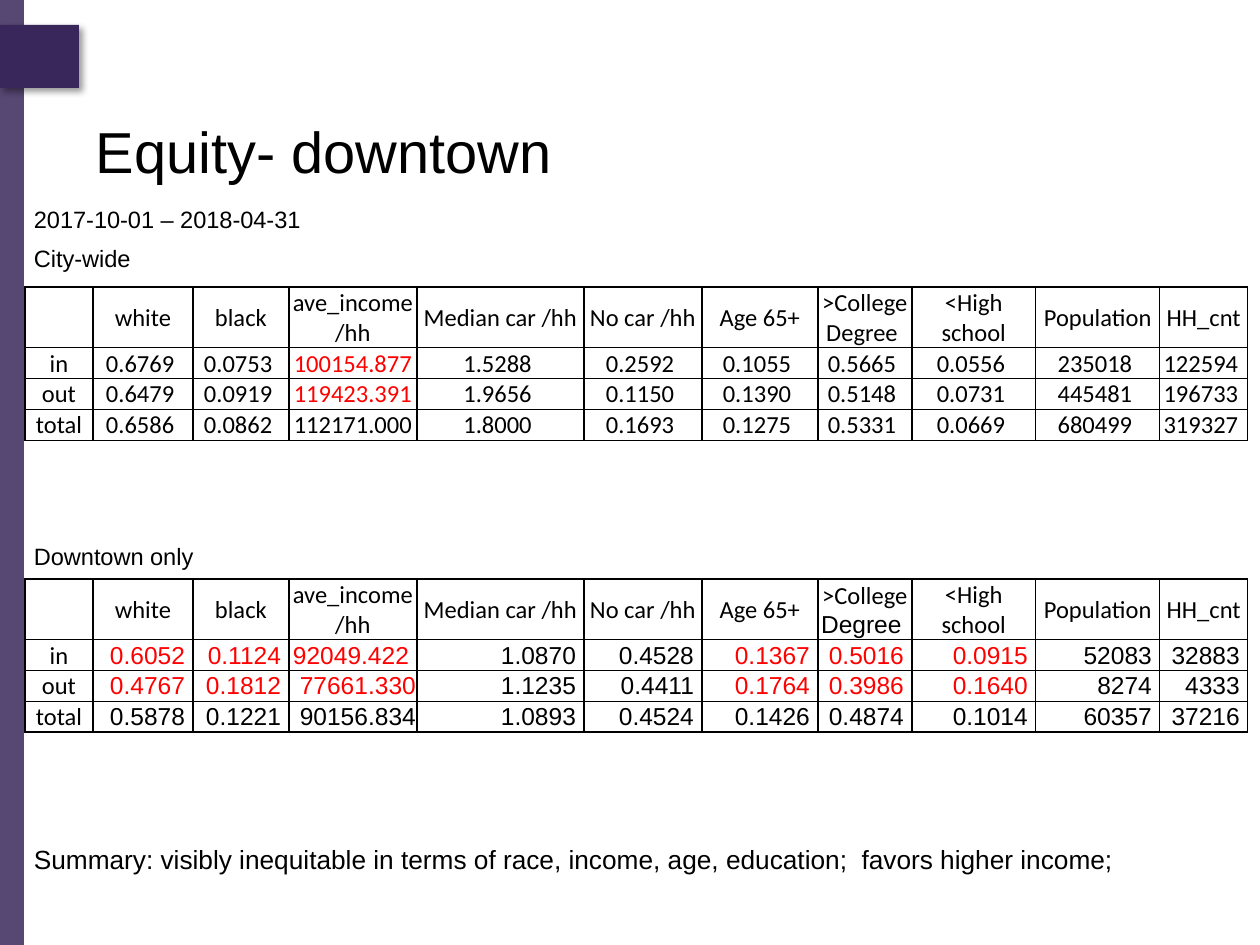
from dataclasses import dataclass

import pptx
import pptx.dml.color
import pptx.enum.shapes
import pptx.enum.text
import pptx.oxml
import pptx.oxml.ns
import pptx.util

PX = 914400 / 126
BLACK = pptx.dml.color.RGBColor(0, 0, 0)
RED = pptx.dml.color.RGBColor(0xFF, 0, 0)
PURPLE = pptx.dml.color.RGBColor(0x39, 0x27, 0x5B)
ALIGN = pptx.enum.text.PP_ALIGN
ANCHOR = pptx.enum.text.MSO_ANCHOR
NS = pptx.oxml.ns.nsdecls("a")

HEADERS = ("", "white", "black", "ave_income /hh", "Median car /hh", "No car /hh",
           "Age 65+", ">College\nDegree ", "<High school", "Population", "HH_cnt")
COLUMN_WIDTHS = (68, 100, 96, 128, 167, 118, 116, 94, 124, 124, 88)
ROW_HEIGHTS = (60, 30, 30, 30)
INCOME_COLUMN = 3
DEGREE_COLUMN = 7


@dataclass(frozen=True)
class Label:
    text: str
    left: int
    top: int
    width: int
    height: int
    size: float = 13.5


@dataclass(frozen=True)
class AreaTable:
    top: int
    rows: tuple[tuple[str, ...], ...]
    red_columns: frozenset[int]
    value_font: str
    value_align: ALIGN
    value_anchor: ANCHOR


LABELS = (
    Label("2017-10-01 – 2018-04-31", 25, 200, 381, 38),
    Label("City-wide", 25, 239, 312, 38),
    Label("Downtown only", 25, 537, 252, 42),
    Label("Summary: visibly inequitable in terms of race, income, age, education;  "
          "favors higher income;", 25, 838, 1148, 42, 15),
)

TABLES = (
    AreaTable(287, (
        ("in", "0.6769", "0.0753", "100154.877", "1.5288", "0.2592", "0.1055",
         "0.5665", "0.0556", "235018", "122594"),
        ("out", "0.6479", "0.0919", "119423.391", "1.9656", "0.1150", "0.1390",
         "0.5148", "0.0731", "445481", "196733"),
        ("total", "0.6586", "0.0862", "112171.000", "1.8000", "0.1693", "0.1275",
         "0.5331", "0.0669", "680499", "319327"),
    ), frozenset({3}), "Calibri", ALIGN.CENTER, ANCHOR.BOTTOM),
    AreaTable(579, (
        ("in", "0.6052", "0.1124", "92049.422 ", "1.0870", "0.4528", "0.1367",
         "0.5016", "0.0915", "52083", "32883"),
        ("out", "0.4767", "0.1812", "77661.330", "1.1235", "0.4411", "0.1764",
         "0.3986", "0.1640", "8274", "4333"),
        ("total", "0.5878", "0.1221", "90156.834", "1.0893", "0.4524", "0.1426",
         "0.4874", "0.1014", "60357", "37216"),
    ), frozenset({1, 2, 3, 6, 7, 8}), "Arial", ALIGN.RIGHT, ANCHOR.MIDDLE),
)


def px(length: int) -> pptx.util.Emu:
    return pptx.util.Emu(round(length * PX))


def box(left: int, top: int, width: int, height: int) -> tuple[pptx.util.Emu, ...]:
    return tuple(px(length) for length in (left, top, width, height))


def apply(target, values: dict) -> None:
    for name, value in values.items():
        setattr(target, name, value)


def style_runs(paragraph, font: str, size: float, color=BLACK) -> None:
    for run in paragraph.runs:
        apply(run.font, {"name": font, "size": pptx.util.Pt(size)})
        run.font.color.rgb = color


def set_insets(frame) -> None:
    apply(frame, {"margin_left": px(9), "margin_right": px(9),
                  "margin_top": px(5), "margin_bottom": px(5), "word_wrap": True})


def add_bar(slide, left: int, top: int, width: int, height: int):
    bar = slide.shapes.add_shape(
        pptx.enum.shapes.MSO_SHAPE.RECTANGLE, *box(left, top, width, height))
    bar.shadow.inherit = False
    bar.fill.solid()
    bar.fill.fore_color.rgb = PURPLE
    bar.line.fill.background()
    return bar


def add_decoration(slide) -> None:
    side_bar = add_bar(slide, 0, 0, 24, 945)
    fill_color = side_bar.fill._xPr.find(".//" + pptx.oxml.ns.qn("a:srgbClr"))
    fill_color.append(pptx.oxml.parse_xml(f'<a:alpha {NS} val="85000"/>'))
    tab = add_bar(slide, 0, 25, 79, 63)
    effects = tab._element.spPr.find(pptx.oxml.ns.qn("a:effectLst"))
    effects.append(pptx.oxml.parse_xml(
        f'<a:outerShdw {NS} blurRad="50800" dist="38100" dir="2700000" rotWithShape="0">'
        '<a:srgbClr val="000000"><a:alpha val="40000"/></a:srgbClr></a:outerShdw>'))


def add_title(slide, text: str) -> None:
    title = slide.shapes.title
    apply(title, dict(zip(("left", "top", "width", "height"), box(87, 86, 1086, 137))))
    set_insets(title.text_frame)
    title.text_frame.vertical_anchor = ANCHOR.MIDDLE
    title.text_frame.text = text
    heading = title.text_frame.paragraphs[0]
    apply(heading, {"alignment": ALIGN.LEFT, "line_spacing": 0.9})
    style_runs(heading, "Arial", 33)


def add_label(slide, label: Label) -> None:
    frame = slide.shapes.add_textbox(
        *box(label.left, label.top, label.width, label.height)).text_frame
    set_insets(frame)
    frame.text = label.text
    style_runs(frame.paragraphs[0], "Arial", label.size)


def add_borders(cell) -> None:
    """Put the four lines before the fill, as the schema requires."""
    properties = cell._tc.get_or_add_tcPr()
    for position, side in enumerate(("lnL", "lnR", "lnT", "lnB")):
        properties.insert(position, pptx.oxml.parse_xml(
            f'<a:{side} {NS} w="12700"><a:solidFill><a:srgbClr val="000000"/>'
            f'</a:solidFill></a:{side}>'))


def fill_cell(cell, area: AreaTable, row: int, column: int, text: str) -> None:
    is_value = row > 0 and column > 0
    apply(cell, {"margin_left": px(1), "margin_right": px(1), "margin_top": px(1),
                 "margin_bottom": 0,
                 "vertical_anchor": area.value_anchor if is_value else ANCHOR.MIDDLE})
    cell.fill.background()
    add_borders(cell)
    cell.text = text + " " if is_value and column != INCOME_COLUMN else text
    is_red = row in (1, 2) and column in area.red_columns
    for paragraph in cell.text_frame.paragraphs:
        paragraph.alignment = area.value_align if is_value else ALIGN.CENTER
        style_runs(paragraph, area.value_font if is_value else "Calibri", 14,
                   RED if is_red else BLACK)
    if row == 0 and column == DEGREE_COLUMN:
        style_runs(cell.text_frame.paragraphs[1], area.value_font, 14)


def add_area_table(slide, area: AreaTable) -> None:
    table = slide.shapes.add_table(
        len(ROW_HEIGHTS), len(COLUMN_WIDTHS),
        *box(25, area.top, sum(COLUMN_WIDTHS), sum(ROW_HEIGHTS))).table
    apply(table, {"first_row": False, "horz_banding": False})
    for column, width in zip(table.columns, COLUMN_WIDTHS):
        column.width = px(width)
    for row, height in zip(table.rows, ROW_HEIGHTS):
        row.height = px(height)
    for row, texts in enumerate((HEADERS, *area.rows)):
        for column, text in enumerate(texts):
            fill_cell(table.cell(row, column), area, row, column, text)


def main() -> None:
    deck = pptx.Presentation()
    apply(deck, {"slide_width": px(1260), "slide_height": px(945)})
    slide = deck.slides.add_slide(deck.slide_layouts[5])
    add_decoration(slide)
    add_title(slide, "Equity- downtown")
    for area in TABLES:
        add_area_table(slide, area)
    for label in LABELS:
        add_label(slide, label)
    deck.save("out.pptx")


if __name__ == "__main__":
    main()
